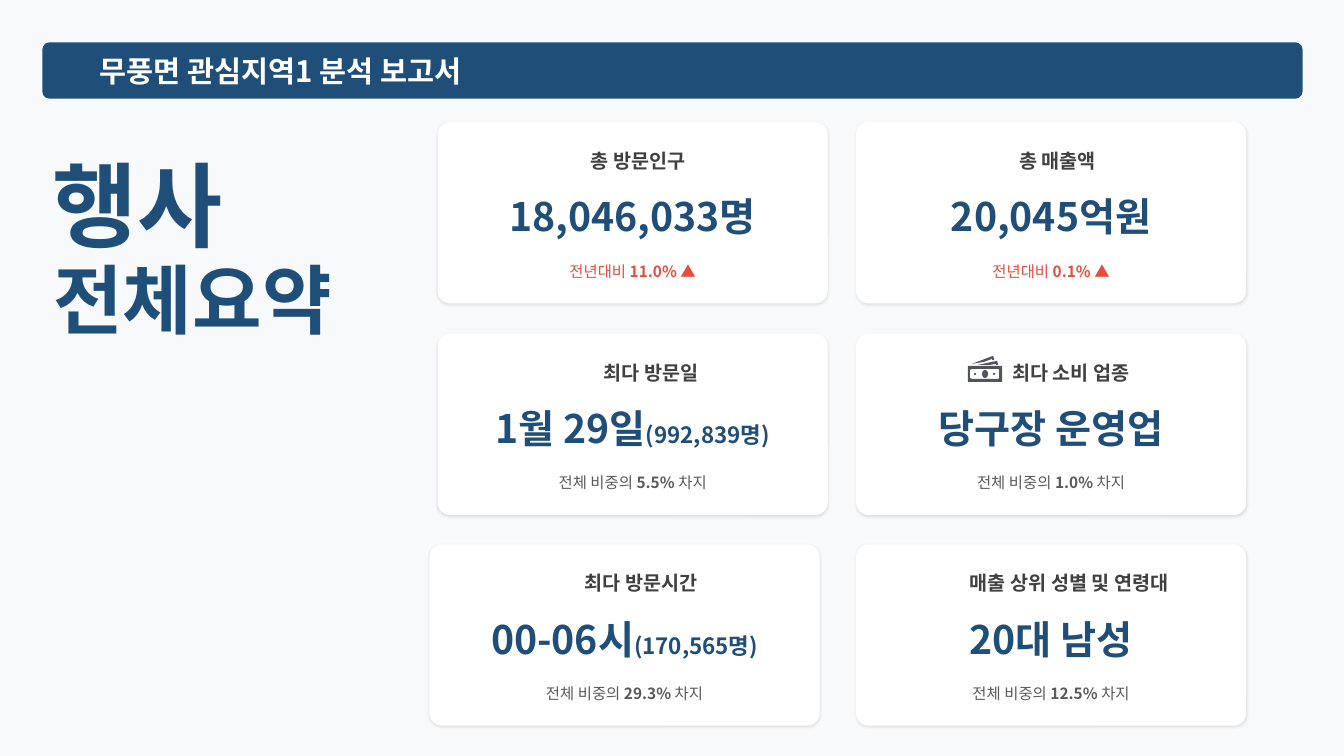
from dataclasses import dataclass

import lxml.etree
import pptx
import pptx.dml.color
import pptx.enum.shapes
import pptx.enum.text
import pptx.oxml
import pptx.oxml.ns
import pptx.util

Inches = pptx.util.Inches
MSO_SHAPE = pptx.enum.shapes.MSO_SHAPE
PP_ALIGN = pptx.enum.text.PP_ALIGN


@dataclass(frozen=True)
class Theme:
    font: str = "Noto Sans CJK KR"
    background: str = "F8F9FA"
    navy: str = "1F4E79"
    white: str = "FFFFFF"
    label: str = "404040"
    note: str = "595959"
    rise: str = "E74C3C"
    icon: str = "51545A"
    header_size: int = 21
    event_size: int = 66
    summary_size: int = 54
    label_size: int = 14
    value_size: int = 28
    detail_size: int = 16
    note_size: int = 11


THEME = Theme()
CARD_WIDTH, CARD_HEIGHT = 3.87, 1.8
LEFT_COLUMN, RIGHT_COLUMN = 4.34, 8.49
ROW_TOPS = (1.21, 3.31, 5.4)


@dataclass(frozen=True)
class Card:
    left: float
    top: float
    label_left: float
    label: str
    value: str
    detail: str
    note: tuple
    note_color: str = THEME.note


def share(percent):
    return ("전체 비중의 ", f"{percent} ", "차지")


def growth(percent):
    return ("전년대비 ", f"{percent} ▲")


CARDS = (
    Card(LEFT_COLUMN, ROW_TOPS[0], 5.86, "총 방문인구", "18,046,033명", "",
         growth("11.0%"), THEME.rise),
    Card(LEFT_COLUMN, ROW_TOPS[1], 5.99, "최다 방문일", "1월 29일", "(992,839명)",
         share("5.5%")),
    Card(4.26, ROW_TOPS[2], 5.8, "최다 방문시간", "00-06시", "(170,565명)",
         share("29.3%")),
    Card(RIGHT_COLUMN, ROW_TOPS[0], 10.11, "총 매출액", "20,045억원", "",
         growth("0.1%"), THEME.rise),
    Card(RIGHT_COLUMN, ROW_TOPS[1], 10.04, "최다 소비 업종", "당구장 운영업", "",
         share("1.0%")),
    Card(RIGHT_COLUMN, ROW_TOPS[2], 9.62, "매출 상위 성별 및 연령대", "20대 남성", "",
         share("12.5%")),
)


def rgb(color):
    return pptx.dml.color.RGBColor.from_string(color)


def write_text(shape, runs, color, align=PP_ALIGN.LEFT):
    """Fill a shape with one paragraph of (text, size, bold) runs."""
    frame = shape.text_frame
    frame.word_wrap = True
    frame.auto_size = pptx.enum.text.MSO_AUTO_SIZE.NONE
    frame.vertical_anchor = pptx.enum.text.MSO_ANCHOR.MIDDLE
    frame.margin_left = frame.margin_right = 0
    frame.margin_top = frame.margin_bottom = 0
    paragraph = frame.paragraphs[0]
    paragraph.alignment = align
    for text, size, bold in runs:
        run = paragraph.add_run()
        run.text = text
        run.font.size = pptx.util.Pt(size)
        run.font.bold = bold
        run.font.color.rgb = rgb(color)
        run.font.name = THEME.font
        east_asian = lxml.etree.SubElement(
            run.font._element, pptx.oxml.ns.qn("a:ea"))
        east_asian.set("typeface", THEME.font)


def add_text(slide, left, top, width, height, runs, color, align=PP_ALIGN.LEFT):
    box = slide.shapes.add_textbox(
        Inches(left), Inches(top), Inches(width), Inches(height))
    write_text(box, runs, color, align)


def paint(shape, color):
    shape.shadow.inherit = False
    shape.fill.solid()
    shape.fill.fore_color.rgb = rgb(color)
    shape.line.fill.background()


def add_shape(slide, kind, left, top, width, height, color):
    shape = slide.shapes.add_shape(
        kind, Inches(left), Inches(top), Inches(width), Inches(height))
    paint(shape, color)
    return shape


def add_soft_shadow(shape):
    effects = shape.element.spPr.find(pptx.oxml.ns.qn("a:effectLst"))
    effects.append(pptx.oxml.parse_xml(
        f'<a:outerShdw {pptx.oxml.ns.nsdecls("a")} blurRad="{pptx.util.Pt(2)}" '
        f'dist="{pptx.util.Pt(1)}" dir="5400000" algn="t" rotWithShape="0">'
        '<a:srgbClr val="000000"><a:alpha val="10000"/></a:srgbClr>'
        '</a:outerShdw>'))


def add_outline(slide, contours, color):
    """Draw closed contours, in inches, as one filled freeform."""
    contours = [[(Inches(x), Inches(y)) for x, y in points] for points in contours]
    builder = slide.shapes.build_freeform(*contours[0][0])
    for number, points in enumerate(contours):
        if number:
            builder.move_to(*points[0])
        builder.add_line_segments(points[1:], close=True)
    paint(builder.convert_to_shape(), color)


def add_header(slide):
    bar = add_shape(slide, MSO_SHAPE.ROUNDED_RECTANGLE,
                    0.42, 0.42, 12.5, 0.56, THEME.navy)
    bar.adjustments[0] = 0.13
    title = slide.shapes.title
    title.left, title.top = Inches(0.99), Inches(0.49)
    title.width, title.height = Inches(6.57), Inches(0.43)
    write_text(title, [("무풍면 관심지역1 분석 보고서", THEME.header_size, True)],
               THEME.white)
    title.element.addprevious(bar.element)


def add_card(slide, card):
    panel = add_shape(slide, MSO_SHAPE.ROUNDED_RECTANGLE, card.left, card.top,
                      CARD_WIDTH, CARD_HEIGHT, THEME.white)
    panel.adjustments[0] = 0.07
    add_soft_shadow(panel)
    add_text(slide, card.label_left, card.top + 0.26, 2.1, 0.25,
             [(card.label, THEME.label_size, True)], THEME.label)
    value = [(card.value, THEME.value_size, True)]
    if card.detail:
        value.append((card.detail, THEME.detail_size, True))
    add_text(slide, card.left, card.top + 0.69, CARD_WIDTH, 0.49,
             value, THEME.navy, PP_ALIGN.CENTER)
    note = [(text, THEME.note_size, place == 1)
            for place, text in enumerate(card.note)]
    add_text(slide, card.left, card.top + 1.34, CARD_WIDTH, 0.28,
             note, card.note_color, PP_ALIGN.CENTER)


def add_banknote_icon(slide):
    frame = [(9.6, 3.63), (9.6, 3.79), (9.94, 3.79), (9.94, 3.63)]
    opening = [(9.91, 3.75), (9.9, 3.76), (9.64, 3.76), (9.62, 3.75),
               (9.62, 3.67), (9.64, 3.66), (9.9, 3.66), (9.91, 3.67)]
    back_note = [(9.84, 3.56), (9.84, 3.57), (9.86, 3.57), (9.85, 3.53),
                 (9.64, 3.61), (9.76, 3.59)]
    middle_note = [(9.82, 3.62), (9.88, 3.61), (9.88, 3.62), (9.9, 3.62),
                   (9.89, 3.58), (9.7, 3.62)]
    for contours in ([frame, opening], [back_note], [middle_note]):
        add_outline(slide, contours, THEME.icon)
    for left, top, width, height in ((9.74, 3.67, 0.06, 0.08),
                                     (9.66, 3.7, 0.02, 0.02),
                                     (9.85, 3.7, 0.02, 0.02)):
        add_shape(slide, MSO_SHAPE.OVAL, left, top, width, height, THEME.icon)


def main():
    presentation = pptx.Presentation()
    presentation.slide_width = Inches(13.33)
    presentation.slide_height = Inches(7.5)
    slide = presentation.slides.add_slide(presentation.slide_layouts[5])
    slide.background.fill.solid()
    slide.background.fill.fore_color.rgb = rgb(THEME.background)

    add_header(slide)
    add_text(slide, 0.53, 2.41, 2.96, 1.09,
             [("전체요약", THEME.summary_size, True)], THEME.navy)
    add_text(slide, 0.52, 1.36, 2.33, 1.32,
             [("행사", THEME.event_size, True)], THEME.navy)
    for card in CARDS:
        add_card(slide, card)
    add_banknote_icon(slide)
    presentation.save("out.pptx")


if __name__ == "__main__":
    main()
